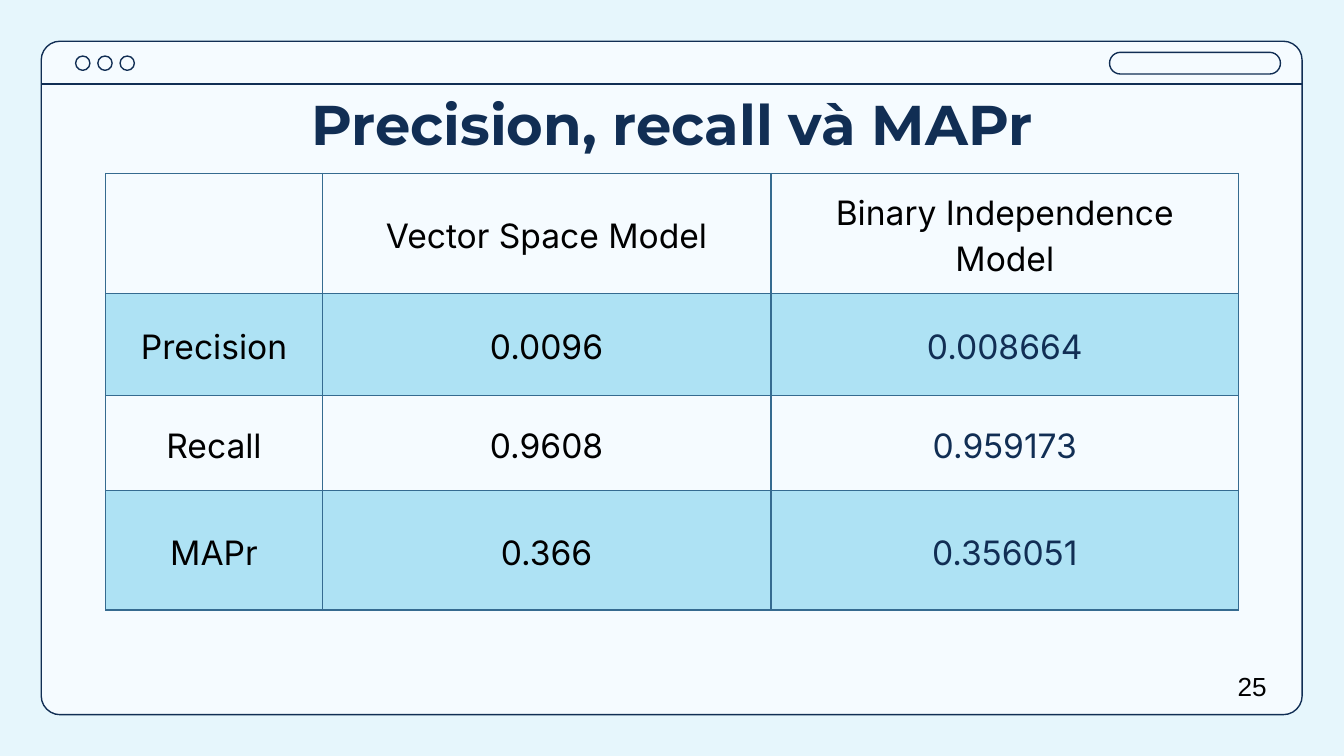
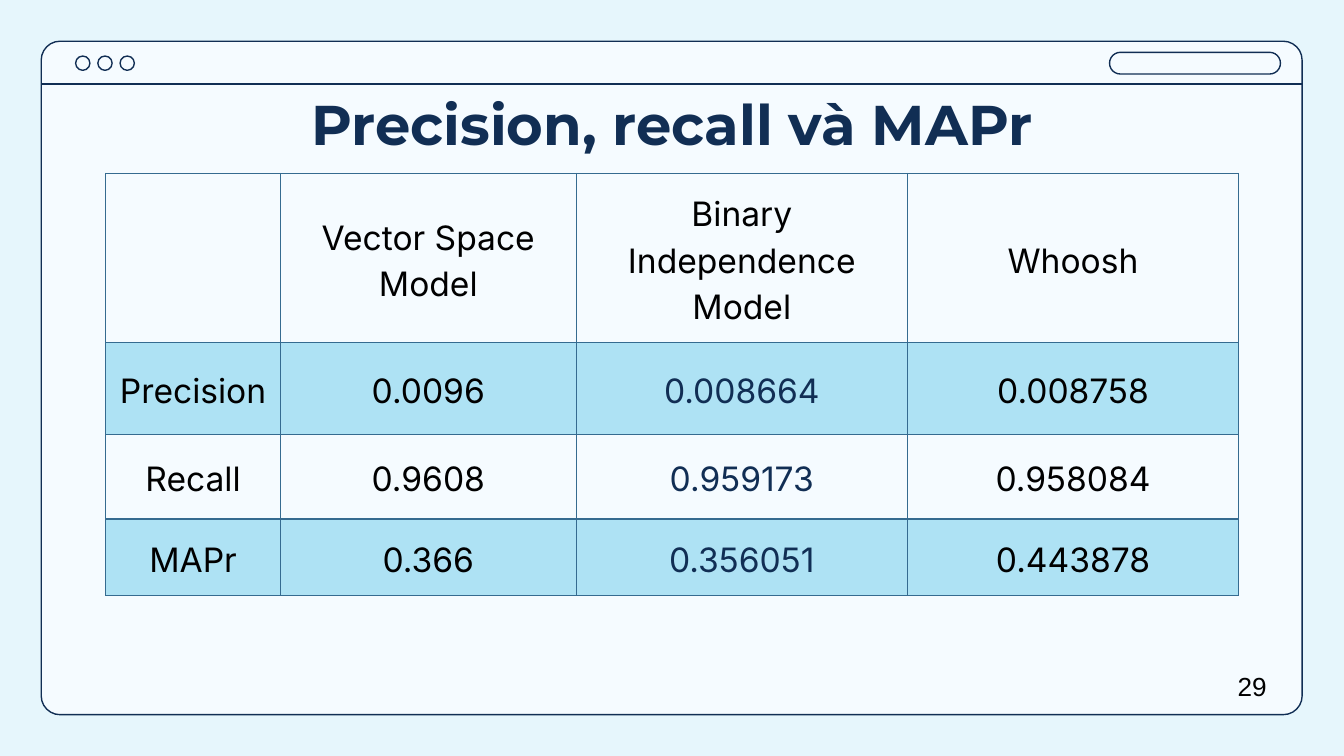
from lxml import etree
from pptx import Presentation
from pptx.dml.color import RGBColor
from pptx.enum import shapes, text
from pptx.oxml import ns
from pptx.util import Cm, Pt

NAVY = RGBColor(0x11, 0x2E, 0x54)
BLUE = RGBColor(0xAE, 0xE2, 0xF4)
PALE = RGBColor(0xE6, 0xF6, 0xFC)
PAPER = RGBColor(0xF5, 0xFB, 0xFF)
BLACK = RGBColor(0, 0, 0)
RULE = "356B90"
PAD = Cm(0.25)

FRAME = [  # preset, corner, left, top, width, height, fill
    ("ROUNDED_RECTANGLE", 0.028, 0.78, 0.78, 23.83, 12.73, PAPER),
    ("ROUNDED_RECTANGLE", 0.5, 20.97, 0.99, 3.23, 0.41, None),
]
FRAME += [("OVAL", None, 1.43 + 0.42 * i, 1.06, 0.27, 0.27, None) for i in range(3)]

TITLE = "Precision, recall và MAPr"
HEAD = ["", "Vector Space Model", "Binary Independence Model"]
BODY = [
    ["Precision", "0.0096", "0.008664"],
    ["Recall", "0.9608", "0.959173"],
    ["MAPr", "0.366", "0.356051"],
]
WHOOSH = ["Whoosh", "0.008758", "0.958084", "0.443878"]
TWO = [HEAD] + BODY
THREE = [row + [new] for row, new in zip(TWO, WHOOSH)]

PAGES = [  # number, cells, column widths, row heights
    ("25", TWO, [4.09, 8.48, 8.84], [2.26, 1.93, 1.8, 2.26]),
    ("29", THREE, [3.3, 5.59, 6.26, 6.26], [3.2, 1.73, 1.6, 1.45]),
]


def write(para, words, font, size, color, bold=False):
    run = para.add_run()
    run.text = words
    run.font.name = font
    run.font.size = Pt(size)
    run.font.bold = bold
    run.font.color.rgb = color


def edge(cell):
    """Draw a thin rule on all four sides of a cell."""
    props = cell._tc.get_or_add_tcPr()
    for spot, side in enumerate(("lnL", "lnR", "lnT", "lnB")):
        line = etree.Element(ns.qn("a:" + side), w=str(Pt(0.75)))
        fill = etree.SubElement(line, ns.qn("a:solidFill"))
        etree.SubElement(fill, ns.qn("a:srgbClr"), val=RULE)
        props.insert(spot, line)


deck = Presentation()
deck.slide_width, deck.slide_height = Cm(25.4), Cm(14.29)

for number, rows, widths, heights in PAGES:
    slide = deck.slides.add_slide(deck.slide_layouts[5])
    back = slide.background.fill
    back.solid()
    back.fore_color.rgb = PALE

    # Window frame
    for kind, corner, left, top, wide, high, fill in FRAME:
        part = slide.shapes.add_shape(
            shapes.MSO_SHAPE[kind], Cm(left), Cm(top), Cm(wide), Cm(high))
        part.shadow.inherit = False
        part.line.color.rgb = NAVY
        part.line.width = Pt(0.75)
        if corner:
            part.adjustments[0] = corner
        if fill:
            part.fill.solid()
            part.fill.fore_color.rgb = fill
        else:
            part.fill.background()
    bar = slide.shapes.add_connector(
        shapes.MSO_CONNECTOR.STRAIGHT, Cm(0.78), Cm(1.59), Cm(24.61), Cm(1.59))
    bar.line.color.rgb = NAVY
    bar.line.width = Pt(0.75)
    etree.SubElement(bar.element.spPr, ns.qn("a:effectLst"))

    # Title, brought in front of the frame
    title = slide.shapes.title
    title.element.getparent().append(title.element)
    title.left, title.top, title.width, title.height = Cm(2), Cm(1.45), Cm(21.41), Cm(1.6)
    frame = title.text_frame
    frame.auto_size = text.MSO_AUTO_SIZE.NONE
    frame.vertical_anchor = text.MSO_ANCHOR.TOP
    frame.margin_left = frame.margin_right = frame.margin_top = frame.margin_bottom = PAD
    frame.paragraphs[0].alignment = text.PP_ALIGN.CENTER
    write(frame.paragraphs[0], TITLE, "Montserrat", 30, NAVY, True)

    # Scores
    table = slide.shapes.add_table(
        len(rows), len(widths), Cm(2), Cm(3.28), Cm(sum(widths)), Cm(sum(heights))).table
    table.first_row = table.horz_banding = False
    for col, wide in zip(table.columns, widths):
        col.width = Cm(wide)
    for r, row in enumerate(rows):
        table.rows[r].height = Cm(heights[r])
        for c, words in enumerate(row):
            cell = table.cell(r, c)
            cell.margin_left = cell.margin_right = cell.margin_top = cell.margin_bottom = PAD
            cell.vertical_anchor = text.MSO_ANCHOR.MIDDLE
            if r % 2:
                cell.fill.solid()
                cell.fill.fore_color.rgb = BLUE
            else:
                cell.fill.background()
            edge(cell)
            if words:
                para = cell.text_frame.paragraphs[0]
                para.alignment = text.PP_ALIGN.CENTER
                para.line_spacing = 1.15
                write(para, words, "Inter", 18, NAVY if r and c == 2 else BLACK)

    # Page number
    page = slide.shapes.add_textbox(Cm(23.14), Cm(12.55), Cm(1.32), Cm(0.86)).text_frame
    page.word_wrap = True
    page.auto_size = text.MSO_AUTO_SIZE.SHAPE_TO_FIT_TEXT
    write(page.paragraphs[0], number, "Arial", 14, BLACK)

deck.save("out.pptx")
